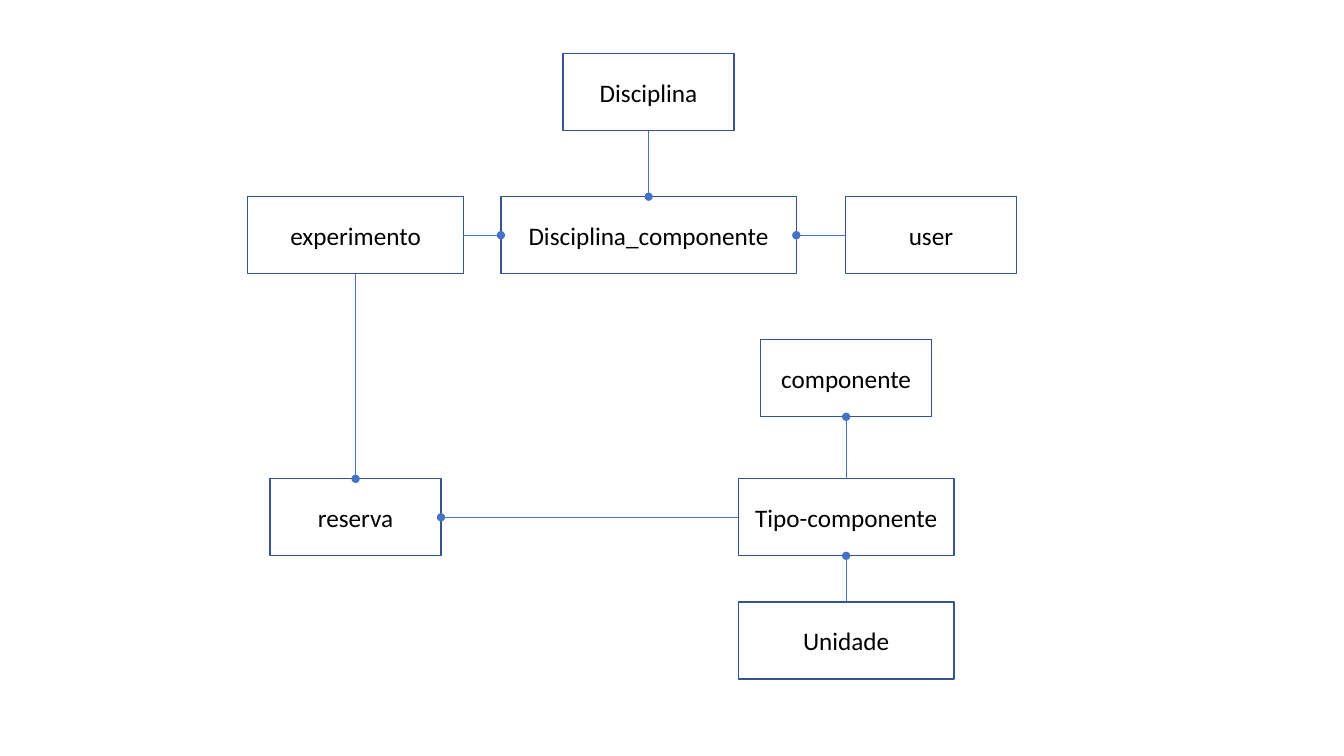
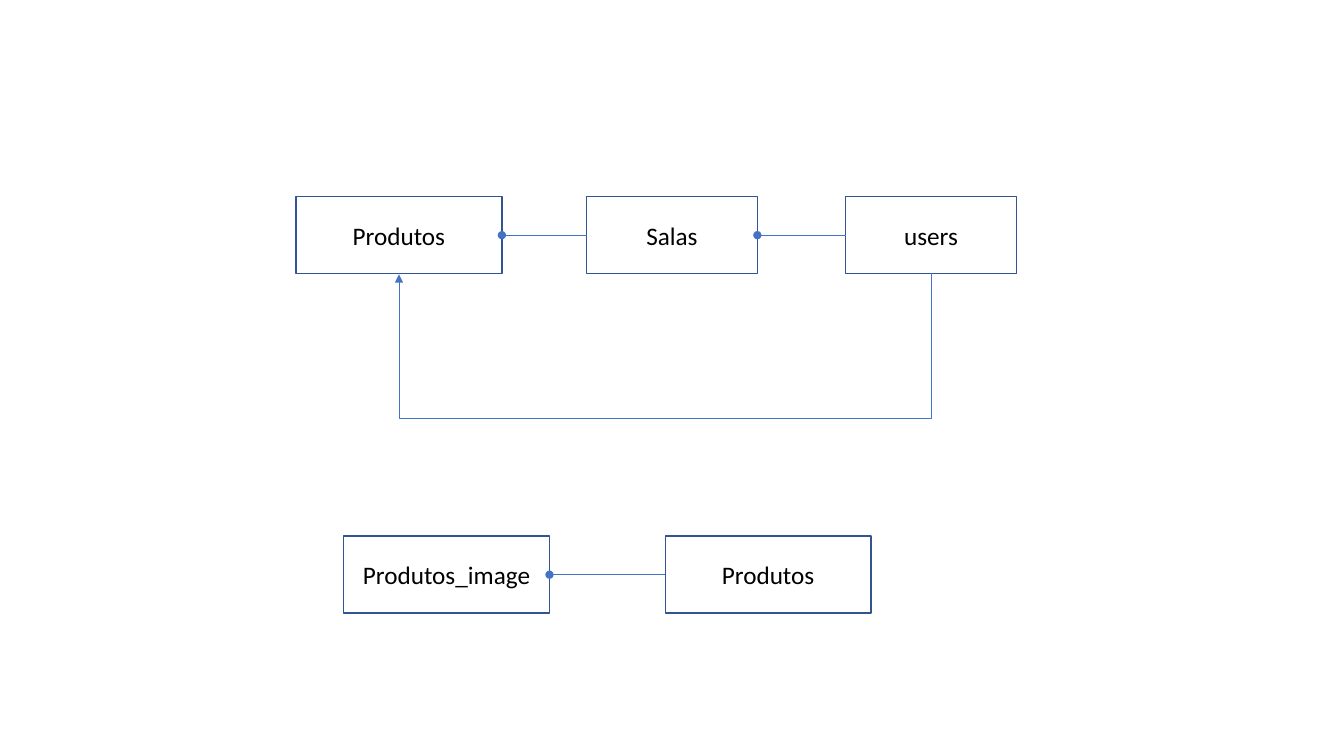
from lxml import etree
from pptx import Presentation
from pptx.dml.color import RGBColor
from pptx.enum.shapes import MSO_CONNECTOR, MSO_SHAPE
from pptx.enum.text import MSO_ANCHOR, PP_ALIGN
from pptx.oxml.ns import qn
from pptx.util import Pt

RECTANGLE = MSO_SHAPE.RECTANGLE
STRAIGHT, ELBOW = MSO_CONNECTOR.STRAIGHT, MSO_CONNECTOR.ELBOW
MIDDLE, CENTER = MSO_ANCHOR.MIDDLE, PP_ALIGN.CENTER
TOP, LEFT, BOTTOM, RIGHT = range(4)

COLORS = {"border": "325491", "link": "4472C4", "text": "000000"}
FONT = "Calibri"
BOX_HEIGHT = 55
NARROW, MEDIUM, WIDE, WIDEST = 122, 147, 154, 211
MAIN_ROW = 140.5
USER_X = 665


class Diagram:
    def __init__(self):
        self.presentation = Presentation()
        self.presentation.slide_width = Pt(960)
        self.presentation.slide_height = Pt(540)
        self.slide = None

    def new_slide(self):
        blank = self.presentation.slide_layouts[6]
        self.slide = self.presentation.slides.add_slide(blank)

    def color(self, name):
        return RGBColor.from_string(COLORS[name])

    def box(self, text, center, top, width=NARROW):
        shape = self.slide.shapes.add_shape(
            RECTANGLE, Pt(center - width / 2), Pt(top), Pt(width), Pt(BOX_HEIGHT))
        shape.shadow.inherit = False
        shape.fill.background()
        shape.line.color.rgb = self.color("border")
        shape.line.width = Pt(1)
        frame = shape.text_frame
        frame.word_wrap = True
        frame.vertical_anchor = MIDDLE
        paragraph = frame.paragraphs[0]
        paragraph.text = text
        paragraph.alignment = CENTER
        paragraph.font.name = FONT
        paragraph.font.size = Pt(18)
        paragraph.font.color.rgb = self.color("text")
        return shape

    def connector(self, kind, start, start_side, end, end_side, marker, marker_type):
        connector = self.slide.shapes.add_connector(kind, 0, 0, 0, 0)
        connector.begin_connect(start, start_side)
        connector.end_connect(end, end_side)
        connector.line.color.rgb = self.color("link")
        connector.line.width = Pt(0.5)
        properties = connector._element.spPr
        line = properties.find(qn("a:ln"))
        etree.SubElement(line, qn(marker), type=marker_type)
        etree.SubElement(properties, qn("a:effectLst"))
        return connector

    def link(self, start, start_side, end, end_side):
        self.connector(STRAIGHT, start, start_side, end, end_side, "a:headEnd", "oval")

    def loop_below(self, start, end, drop):
        connector = self.connector(ELBOW, start, BOTTOM, end, BOTTOM, "a:tailEnd", "triangle")
        span = connector.begin_x - connector.end_x
        middle = (connector.begin_x + connector.end_x) // 2
        bottom = start.top + start.height
        properties = connector._element.spPr
        frame = properties.find(qn("a:xfrm"))
        frame.attrib.pop("flipH", None)
        frame.attrib.pop("flipV", None)
        frame.set("rot", "5400000")
        connector.width, connector.height = Pt(1), span
        connector.left, connector.top = middle - Pt(0.5), bottom - span // 2
        adjustments = properties.find(qn("a:prstGeom")).find(qn("a:avLst"))
        etree.SubElement(adjustments, qn("a:gd"), name="adj1", fmla=f"val {drop * 100000}")

    def save(self):
        self.presentation.save("out.pptx")


def component_slide(diagram):
    reservation_x, subject_x, component_x = 254, 463.3, 604.4
    type_row = 342
    diagram.new_slide()
    user = diagram.box("user", USER_X, MAIN_ROW)
    experiment = diagram.box("experimento", reservation_x, MAIN_ROW, WIDE)
    subject = diagram.box("Disciplina", subject_x, 38.3)
    subject_component = diagram.box("Disciplina_componente", subject_x, MAIN_ROW, WIDEST)
    component = diagram.box("componente", component_x, 242.7)
    component_type = diagram.box("Tipo-componente", component_x, type_row, WIDE)
    reservation = diagram.box("reserva", reservation_x, type_row)
    unit = diagram.box("Unidade", component_x, 430, WIDE)
    for ends in (
        (component, BOTTOM, component_type, TOP),
        (subject_component, TOP, subject, BOTTOM),
        (subject_component, LEFT, experiment, RIGHT),
        (subject_component, RIGHT, user, LEFT),
        (reservation, RIGHT, component_type, LEFT),
        (component_type, BOTTOM, unit, TOP),
        (reservation, TOP, experiment, BOTTOM),
    ):
        diagram.link(*ends)


def product_slide(diagram):
    image_row = 383
    diagram.new_slide()
    users = diagram.box("users", USER_X, MAIN_ROW)
    rooms = diagram.box("Salas", 480, MAIN_ROW)
    products = diagram.box("Produtos", 285, MAIN_ROW, MEDIUM)
    diagram.link(rooms, RIGHT, users, LEFT)
    diagram.link(products, RIGHT, rooms, LEFT)
    diagram.loop_below(users, products, 105)
    image_products = diagram.box("Produtos", 548.7, image_row, MEDIUM)
    images = diagram.box("Produtos_image", 319, image_row, MEDIUM)
    diagram.link(images, RIGHT, image_products, LEFT)


def main():
    diagram = Diagram()
    component_slide(diagram)
    product_slide(diagram)
    diagram.save()


if __name__ == "__main__":
    main()
